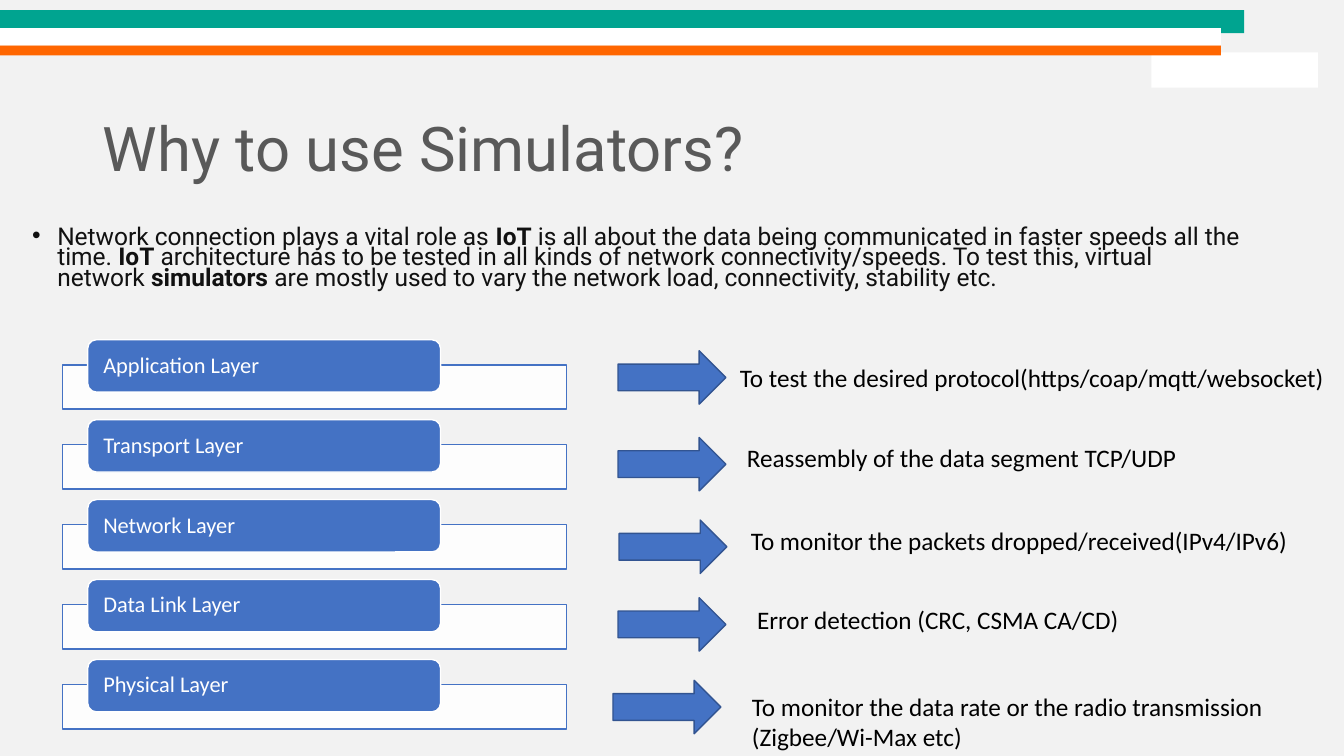
from lxml.etree import SubElement
from pptx import Presentation
from pptx.dml.color import RGBColor
from pptx.enum.shapes import MSO_SHAPE
from pptx.enum.text import MSO_ANCHOR, MSO_AUTO_SIZE, PP_ALIGN
from pptx.oxml.ns import qn
from pptx.util import Inches, Pt

BLUE, WHITE = "4472C4", "FFFFFF"

BANDS = [
    (11.42, 0.52, 1.65, 0.35, WHITE),
    (0, 0.1, 12.34, 0.23, "00A490"),
    (0, 0.45, 12.11, 0.1, "FF6600"),
    (0, 0.28, 12.11, 0.17, WHITE),
]
TITLE = "Why to use Simulators?"
INTRO = [
    ("Network connection plays a vital role as ", False),
    ("IoT", True),
    (" is all about the data being communicated in faster speeds all the time. ", False),
    ("IoT", True),
    (" architecture has to be tested in all kinds of network connectivity/speeds. "
     "To test this, virtual network ", False),
    ("simulators", True),
    (" are mostly used to vary the network load, connectivity, stability etc.", False),
]
LAYERS = [
    ("Application Layer", (6.13, 3.48),
     "To test the desired protocol(https/coap/mqtt/websocket)", (7.24, 3.55, 6.02, 0.4)),
    ("Transport Layer", (6.13, 4.34),
     "Reassembly of the data segment TCP/UDP", (7.31, 4.34, 5.33, 0.4)),
    ("Network Layer", (6.14, 5.16),
     "To monitor the packets dropped/received(IPv4/IPv6)", (7.35, 5.16, 5.71, 0.4)),
    ("Data Link Layer", (6.13, 5.93),
     "Error detection (CRC, CSMA CA/CD)", (7.41, 5.95, 5.41, 0.4)),
    ("Physical Layer", (6.08, 6.75),
     "To monitor the data rate or the radio transmission (Zigbee/Wi-Max etc)",
     (7.36, 6.81, 5.9, 0.71)),
]
LAYER_TOP, LAYER_PITCH = 3.37, 0.793


def color(value):
    return RGBColor.from_string(value)


def add_block(slide, kind, at, fill, line=None):
    block = slide.shapes.add_shape(kind, *map(Inches, at))
    block.shadow.inherit = False
    block.fill.solid()
    block.fill.fore_color.rgb = color(fill)
    if line:
        block.line.color.rgb = color(line)
        block.line.width = Pt(1)
    else:
        block.line.fill.background()
    return block


def add_box(slide, at, anchor=MSO_ANCHOR.TOP):
    frame = slide.shapes.add_textbox(*map(Inches, at)).text_frame
    frame.word_wrap = True
    frame.vertical_anchor = anchor
    return frame


def add_run(paragraph, words, size, ink, font="Calibri", bold=False):
    run = paragraph.add_run()
    run.text = words
    run.font.size = Pt(size)
    run.font.name = font
    run.font.bold = bold
    run.font.color.rgb = color(ink)


def add_intro(slide):
    paragraph = add_box(slide, (0.22, 2.22, 12.2, 0.82)).paragraphs[0]
    paragraph.line_spacing = 0.7
    props = paragraph._p.get_or_add_pPr()
    props.set("marL", str(Inches(0.25)))
    props.set("indent", str(Inches(-0.25)))
    SubElement(props, qn("a:buFont")).set("typeface", "Arial")
    SubElement(props, qn("a:buChar")).set("char", "•")
    for words, bold in INTRO:
        add_run(paragraph, words, 17.5, "111111", "Roboto", bold)


def add_layer(slide, top, layer):
    panel = add_block(slide, MSO_SHAPE.RECTANGLE, (0.62, top + 0.25, 5, 0.44), WHITE, BLUE)
    panel_color = panel.fill._xPr.find(qn("a:solidFill"))[0]
    SubElement(panel_color, qn("a:alpha")).set("val", "90000")
    label = add_block(slide, MSO_SHAPE.ROUNDED_RECTANGLE, (0.87, top, 3.5, 0.52), BLUE, WHITE)
    frame = label.text_frame
    frame.word_wrap = True
    frame.vertical_anchor = MSO_ANCHOR.MIDDLE
    frame.margin_left = frame.margin_right = Inches(0.13)
    frame.margin_top = frame.margin_bottom = 0
    paragraph = frame.paragraphs[0]
    paragraph.alignment = PP_ALIGN.LEFT
    paragraph.line_spacing = 0.9
    add_run(paragraph, layer, 16, WHITE)


def main():
    deck = Presentation()
    deck.slide_width, deck.slide_height = Inches(13.33), Inches(7.5)
    slide = deck.slides.add_slide(deck.slide_layouts[6])
    slide.background.fill.solid()
    slide.background.fill.fore_color.rgb = color("F2F2F2")

    for *at, fill in BANDS:
        add_block(slide, MSO_SHAPE.RECTANGLE, at, fill)

    title = add_box(slide, (0.92, 0.95, 11.5, 1.1), MSO_ANCHOR.MIDDLE).paragraphs[0]
    title.line_spacing = 0.9
    add_run(title, TITLE, 44, "595959", "Roboto")
    add_intro(slide)

    for row, (layer, arrow, purpose, purpose_at) in enumerate(LAYERS):
        add_layer(slide, LAYER_TOP + row * LAYER_PITCH, layer)
        add_block(slide, MSO_SHAPE.RIGHT_ARROW, (*arrow, 1.07, 0.53), BLUE, "325491")
        frame = add_box(slide, purpose_at)
        frame.auto_size = MSO_AUTO_SIZE.SHAPE_TO_FIT_TEXT
        add_run(frame.paragraphs[0], purpose, 18, "000000")

    deck.save("out.pptx")


if __name__ == "__main__":
    main()
